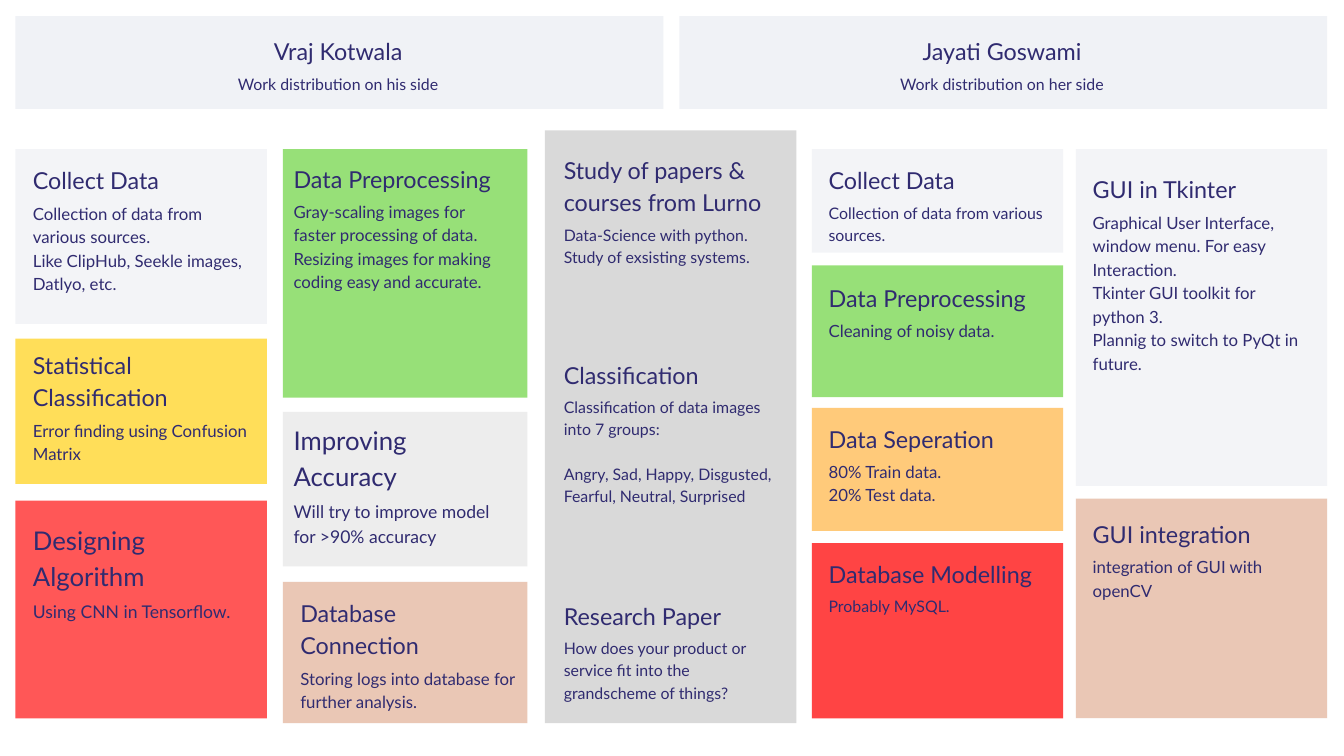
from dataclasses import dataclass

from lxml.etree import SubElement
from pptx import Presentation
from pptx.dml.color import RGBColor
from pptx.enum.shapes import MSO_SHAPE
from pptx.enum.text import PP_ALIGN
from pptx.oxml.ns import qn
from pptx.util import Pt


@dataclass(frozen=True)
class Theme:
    font: str = "Lato"
    ink: str = "302B70"
    pale: str = "F0F2F6"
    grey: str = "D9D9D9"
    light_grey: str = "EDEDED"
    green: str = "7ED957"
    orange: str = "FFBD59"
    yellow: str = "FFDE59"
    coral: str = "FF5757"
    red: str = "FF1616"
    tan: str = "E5B9A3"
    head: float = 25
    big_head: float = 27.6
    big_body: float = 18.8
    body: float = 18
    small: float = 17
    leading: float = 1.4


T = Theme()
HEAD_GAP = 6
TEXT_W = 232.6

prs = Presentation()
prs.slide_width, prs.slide_height = Pt(1440), Pt(810)
s = prs.slides.add_slide(prs.slide_layouts[6])


def add_panel(x, y, w, h, color, alpha=100):
    sp = s.shapes.add_shape(MSO_SHAPE.RECTANGLE, Pt(x), Pt(y), Pt(w), Pt(h))
    sp.shadow.inherit = False
    sp.line.fill.background()
    sp.fill.solid()
    sp.fill.fore_color.rgb = RGBColor.from_string(color)
    if alpha < 100:
        clr = sp.fill._xPr.find(qn("a:solidFill"))[0]
        SubElement(clr, qn("a:alpha")).set("val", str(alpha * 1000))


def add_text(text, *, x, y, w=TEXT_W, size=T.body, lines=1,
             align=PP_ALIGN.LEFT, gaps=()):
    """Add one paragraph per line of text and return the y below the box.

    lines is the wrapped line count; gaps holds the indexes of paragraphs
    that have one empty line's height before them.
    """
    step = round(size * T.leading, 1)
    h = step * lines
    tf = s.shapes.add_textbox(Pt(x), Pt(y), Pt(w), Pt(h)).text_frame
    tf.word_wrap = True
    tf.margin_left = tf.margin_right = tf.margin_top = tf.margin_bottom = 0
    for i, part in enumerate(text.split("\n")):
        p = tf.paragraphs[0] if i == 0 else tf.add_paragraph()
        p.alignment = align
        p.line_spacing = Pt(step)
        if i in gaps:
            p.space_before = Pt(step)
        r = p.add_run()
        r.text = part
        r.font.name = T.font
        r.font.size = Pt(size)
        r.font.color.rgb = RGBColor.from_string(T.ink)
    return y + h


# Header panels, one per person
for x, name, side in [(16.6, "Vraj Kotwala", "his"),
                      (727.9, "Jayati Goswami", "her")]:
    add_panel(x, 17.3, 694.1, 99.4, T.pale)
    row = dict(x=x + 18.4, w=654.5, align=PP_ALIGN.CENTER)
    y = add_text(name, y=34.6, size=T.head, **row)
    add_text(f"Work distribution on {side} side", y=y + 7.4, size=T.small, **row)

# Panels: column left and width, then (top, height, colour, opacity)
panels = [
    (16.6, 269.3, [(159.8, 187.2, T.pale, 80), (362.9, 155.5, T.yellow, 100),
                   (536.4, 233.3, T.coral, 100)]),
    (303.1, 262.1, [(159.8, 266.4, T.green, 80), (441.4, 165.6, T.light_grey, 100),
                    (623.5, 151.2, T.tan, 80)]),
    (583.9, 269.3, [(139.7, 635, T.grey, 100)]),
    (869.8, 269.3, [(159.8, 110.9, T.pale, 80), (284.4, 141.1, T.green, 80),
                    (437, 131.8, T.orange, 80), (581.8, 187.9, T.red, 80)]),
    (1152.7, 269.3, [(159.8, 360.7, T.pale, 80), (534.2, 235.4, T.tan, 80)]),
]
for x, w, column in panels:
    for top, h, color, alpha in column:
        add_panel(x, top, w, h, color, alpha)

# Tasks: text left, then (top, heading, its size and lines, body, its size and lines)
tasks = [
    (35.3, [
        (173.5, "Collect Data", T.head, 1,
         "Collection of data from various sources.\n"
         "Like ClipHub, Seekle images, Datlyo, etc.", T.body, 4),
        (370.8, "Statistical Classification", T.head, 2,
         "Error finding using Confusion Matrix", T.body, 2),
        (556.6, "Designing Algorithm", T.big_head, 2,
         "Using CNN in Tensorflow.", T.big_body, 1)]),
    (314.6, [
        (171.4, "Data Preprocessing", T.head, 1,
         "Gray-scaling images for faster processing of data.\n"
         "Resizing images for making coding easy and accurate.", T.body, 4),
        (450, "Improving Accuracy", T.big_head, 2,
         "Will try to improve model for >90% accuracy", T.big_body, 2)]),
    (321.8, [
        (636.5, "Database Connection", T.head, 2,
         "Storing logs into database for further analysis.", T.body, 2)]),
    (604.1, [
        (162, "Study of papers & courses from Lurno", T.head, 2,
         "Data-Science with python.\nStudy of exsisting systems.", T.small, 2),
        (381.6, "Classification", T.head, 1,
         "Classification of data images into 7 groups:\n"
         "Angry, Sad, Happy, Disgusted, Fearful, Neutral, Surprised", T.small, 5),
        (640.1, "Research Paper", T.head, 1,
         "How does your product or service fit into the grandscheme of things?",
         T.small, 3)]),
    (887.8, [
        (173.5, "Collect Data", T.head, 1,
         "Collection of data from various sources.", T.small, 2),
        (299.5, "Data Preprocessing", T.head, 1,
         "Cleaning of noisy data.", T.body, 1),
        (450, "Data Seperation", T.head, 1,
         "80% Train data.\n20% Test data.", T.body, 2),
        (594.7, "Database Modelling", T.head, 1,
         "Probably MySQL.", T.small, 1)]),
    (1170.7, [
        (182.9, "GUI in Tkinter", T.head, 1,
         "Graphical User Interface, window menu. For easy Interaction.\n"
         "Tkinter GUI toolkit for\npython 3.\n"
         "Plannig to switch to PyQt in future.", T.body, 7),
        (552.2, "GUI integration", T.head, 1,
         "integration of GUI with openCV", T.body, 2)]),
]
for x, column in tasks:
    for top, head, head_size, head_lines, body, size, lines in column:
        y = add_text(head, x=x, y=top, size=head_size, lines=head_lines)
        gaps = (1,) if head == "Classification" else ()
        add_text(body, x=x, y=y + HEAD_GAP, size=size, lines=lines, gaps=gaps)

prs.save("out.pptx")
